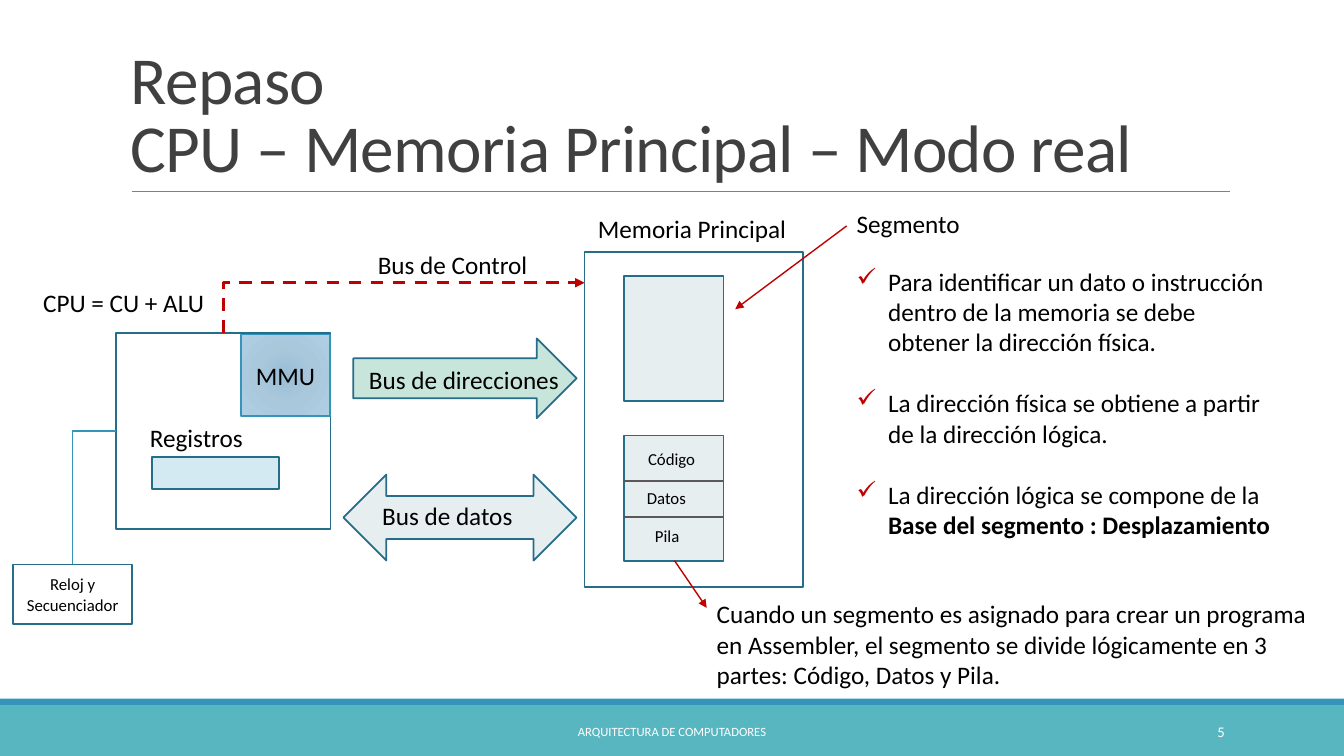
from pptx import Presentation
from pptx.dml.color import RGBColor
from pptx.enum.dml import MSO_LINE
from pptx.enum.shapes import MSO_CONNECTOR, MSO_SHAPE
from pptx.enum.text import MSO_ANCHOR, PP_ALIGN
from pptx.oxml import parse_xml
from pptx.oxml.ns import nsdecls, qn
from pptx.util import Pt

FONT = "Calibri"
EDGE, BLUE, RED, GREY, PALE = "266D8A", "3494BA", "C00000", "595959", "E6EEF0"
CENTER, RIGHT = PP_ALIGN.CENTER, PP_ALIGN.RIGHT
MIDDLE, BOTTOM = MSO_ANCHOR.MIDDLE, MSO_ANCHOR.BOTTOM

TITLE = "Repaso\vCPU – Memoria Principal – Modo real"
TITLE_BOX = (86.4, 8.6, 792, 128.2)

# Segments of main memory: two equal blocks, the lower one split in three
SEG_X, SEG_W, SEG_H = 445.9, 71, 89.4
SEG_TOPS = (197.1, 311.2)
DIVIDERS = (32.2, 58.4)
PARTS = [("Código", 455.8), ("Datos", 455), ("Pila", 460.8)]
PART_TOP, PART_STEP = 316.8, 27.7

# preset, (left, top, width, height), fill, line colour, line width
SHAPES = [
    (MSO_SHAPE.RECTANGLE, (0, 504, 960, 36), "58B6C0", None, 0),
    (MSO_SHAPE.RECTANGLE, (0, 499, 960, 5), BLUE, None, 0),
    (MSO_SHAPE.RECTANGLE, (82.8, 237.8, 153.2, 139.9), None, EDGE, 1.25),
    (MSO_SHAPE.RECTANGLE, (108.5, 326.6, 90.8, 22.5), "D4EAF3", EDGE, 1.25),
    (MSO_SHAPE.RECTANGLE, (417.6, 180, 156.2, 239.2), None, EDGE, 1.25),
    (MSO_SHAPE.LEFT_RIGHT_ARROW, (245.3, 339, 166.5, 61.4), PALE, EDGE, 1.25),
    (MSO_SHAPE.RIGHT_ARROW, (252.4, 241.7, 159.5, 57), "C8E5DC", EDGE, 1.25),
] + [(MSO_SHAPE.RECTANGLE, (SEG_X, top, SEG_W, SEG_H), PALE, EDGE, 1.25) for top in SEG_TOPS]

MMU_BOX = (172.1, 238.8, 63.6, 58.4)
MMU_STOPS = [(0, "98BDD5"), (45, "A9C8DC"), (100, "AFCFE4")]
CLOCK_BOX = (9.4, 403.2, 85, 42.6)

# start, end, colour, width, arrowhead
LINES = [
    ((94, 136.8), (878.4, 136.8), "808080", 0.5, False),
    ((604.8, 161.4), (525.2, 220.8), RED, 1, True),
    ((481.8, 400.4), (504.8, 434.2), RED, 1, True),
] + [((SEG_X, SEG_TOPS[1] + d), (SEG_X + SEG_W - 0.6, SEG_TOPS[1] + d), GREY, 1.5, False)
     for d in DIVIDERS]
CLOCK_WIRE = ((51.9, 403.2), (82.8, 308), BLUE, 1, False)
CONTROL_BUS = ((159.6, 237.8), (417.6, 202), RED, 2.25, True)

# text, (left, top, width, height)
LABELS = [
    ("CPU = CU + ALU", (23.8, 201.6, 194.4, 29)),
    ("Registros", (100, 298.1, 90.7, 29)),
    ("Memoria Principal", (420, 148.5, 170, 29)),
    ("Bus de datos", (265.9, 353.8, 116, 29)),
    ("Bus de direcciones", (256.4, 256.8, 157, 29)),
    ("Bus de Control", (262.8, 174.4, 136, 29)),
    ("Segmento", (604.8, 145.3, 185.8, 29)),
    ("Cuando un segmento es asignado para crear un programa en Assembler, el segmento "
     "se divide lógicamente en 3 partes: Código, Datos y Pila.", (504.8, 424, 445, 72.7)),
]

NOTES_BOX = (604.8, 186.6, 314, 203.8)
NOTES = [  # plain part, bold part
    ("Para identificar un dato o instrucción dentro de la memoria se debe obtener la "
     "dirección física.", ""),
    ("La dirección física se obtiene a partir de la dirección lógica.", ""),
    ("La dirección lógica se compone de la ", "Base del segmento : Desplazamiento"),
]


def rgb(value):
    """Turn a hex string into a colour."""
    return RGBColor.from_string(value)


def box(left_top_size):
    """Turn a box given in points into lengths."""
    return [Pt(v) for v in left_top_size]


def style_run(r, color="000000", **fmt):
    """Set the font of a run from format values."""
    r.font.color.rgb = rgb(color)
    for name, value in {"name": FONT, "size": Pt(18), **fmt}.items():
        setattr(r.font, name, value)


def write(sp, text, size=18, color="000000", anchor=MSO_ANCHOR.TOP, **para):
    """Write one paragraph into a shape and return it."""
    tf = sp.text_frame
    tf.word_wrap, tf.vertical_anchor = True, anchor
    p = tf.paragraphs[0]
    p.text = text
    for name, value in para.items():
        setattr(p, name, value)
    for r in p.runs:
        style_run(r, color, size=Pt(size))
    return p


def label(text, place, **fmt):
    """Add a text box with one paragraph and return the paragraph."""
    return write(slide.shapes.add_textbox(*box(place)), text, **fmt)


def shape(preset, place, fill, line, width):
    """Add a preset shape without shadow."""
    sp = slide.shapes.add_shape(preset, *box(place))
    sp.shadow.inherit = False
    if fill:
        sp.fill.solid()
        sp.fill.fore_color.rgb = rgb(fill)
    else:
        sp.fill.background()
    if line:
        sp.line.color.rgb, sp.line.width = rgb(line), Pt(width)
    else:
        sp.line.fill.background()
    return sp


def radial_fill(sp, stops):
    """Fill a shape with a gradient around its centre."""
    sp.fill.gradient()
    gs = "".join(f'<a:gs pos="{pos * 1000}"><a:srgbClr val="{c}"/></a:gs>' for pos, c in stops)
    grad = parse_xml(
        f'<a:gradFill {nsdecls("a")} rotWithShape="1"><a:gsLst>{gs}</a:gsLst><a:path path="circle">'
        '<a:fillToRect l="50000" t="50000" r="50000" b="50000"/></a:path></a:gradFill>')
    spPr = sp._element.spPr
    spPr.replace(spPr.find(qn("a:gradFill")), grad)


def line(start, end, color, width, arrow, kind=MSO_CONNECTOR.STRAIGHT):
    """Add a connector, with an arrowhead at its end if asked."""
    cx = slide.shapes.add_connector(kind, *box(start + end))
    cx.line.color.rgb, cx.line.width = rgb(color), Pt(width)
    if arrow:
        cx.line._get_or_add_ln().append(parse_xml(f'<a:tailEnd {nsdecls("a")} type="triangle"/>'))
    cx._element.spPr.append(parse_xml(f'<a:effectLst {nsdecls("a")}/>'))
    return cx


def corner(start, end, *fmt):
    """Add a one-bend connector that goes up, then right."""
    cx = line(start, end, *fmt, kind=MSO_CONNECTOR.ELBOW)
    (x1, y1), (x2, y2) = start, end
    w, h = y1 - y2, x2 - x1
    cx.left, cx.top = Pt((x1 + x2 - w) / 2), Pt((y1 + y2 - h) / 2)
    cx.width, cx.height = Pt(w), Pt(h)
    spPr = cx._element.spPr
    spPr.find(qn("a:prstGeom")).set("prst", "bentConnector2")
    for name, value in {"rot": "5400000", "flipH": "1", "flipV": "1"}.items():
        spPr.find(qn("a:xfrm")).set(name, value)
    return cx


def check_list(place, items):
    """Add a list with red check marks."""
    tf = slide.shapes.add_textbox(*box(place)).text_frame
    tf.word_wrap = True
    for i, (plain, bold) in enumerate(items):
        p = tf.add_paragraph() if i else tf.paragraphs[0]
        p.space_before = Pt(22 if i else 0)
        pPr = p._p.get_or_add_pPr()
        pPr.set("marL", str(Pt(22.5)))
        pPr.set("indent", str(-Pt(22.5)))
        for xml in (f'<a:buClr {nsdecls("a")}><a:srgbClr val="{RED}"/></a:buClr>',
                    f'<a:buChar {nsdecls("a")} char="✓"/>'):
            pPr.append(parse_xml(xml))
        for text, strong in ((plain, False), (bold, True)):
            if text:
                r = p.add_run()
                r.text = text
                style_run(r, bold=strong)


prs = Presentation()
prs.slide_width, prs.slide_height = Pt(960), Pt(540)
slide = prs.slides.add_slide(prs.slide_layouts[6])

for item in SHAPES:
    shape(*item)
mmu = shape(MSO_SHAPE.RECTANGLE, MMU_BOX, None, BLUE, 1)
radial_fill(mmu, MMU_STOPS)
write(mmu, "MMU", anchor=MIDDLE, alignment=CENTER)
clock = shape(MSO_SHAPE.RECTANGLE, CLOCK_BOX, None, EDGE, 1.25)
write(clock, "Reloj y Secuenciador", size=12, anchor=MIDDLE, alignment=CENTER)

for item in LINES:
    line(*item)
corner(*CLOCK_WIRE)
corner(*CONTROL_BUS).line.dash_style = MSO_LINE.DASH

title = label(TITLE, TITLE_BOX, size=48, color="404040", anchor=BOTTOM, line_spacing=0.85)
for r in title.runs:
    r.font._element.set("spc", "-50")
for text, place in LABELS:
    label(text, place)
for i, (text, left) in enumerate(PARTS):
    label(text, (left, PART_TOP + i * PART_STEP, 53.3, 21.8), size=12)
check_list(NOTES_BOX, NOTES)
footer = {"color": "FFFFFF", "anchor": MIDDLE}
label("ARQUITECTURA DE COMPUTADORES", (290.2, 508.3, 379.4, 28.8), size=9, alignment=CENTER, **footer)
label("5", (779, 508.3, 103, 28.8), size=10.5, alignment=RIGHT, **footer)

prs.save("out.pptx")
